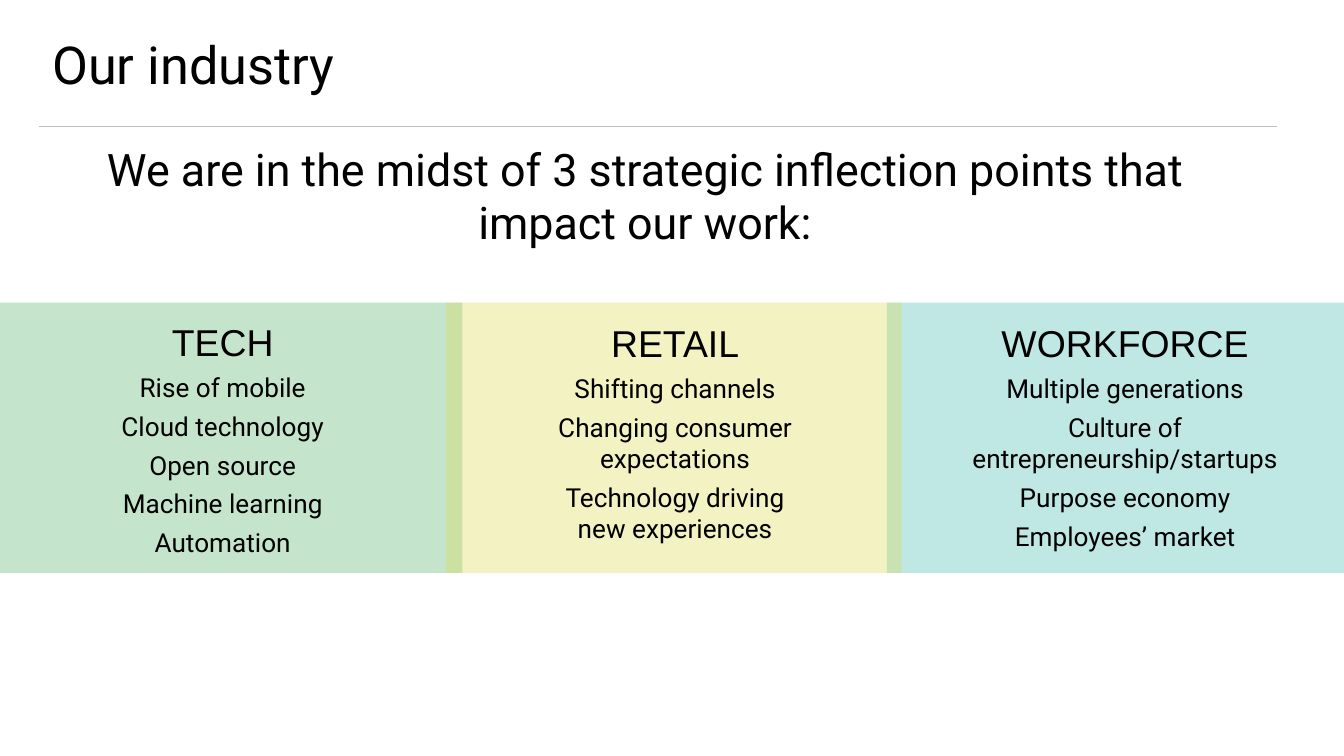
from pptx import Presentation
from pptx.dml.color import RGBColor
from pptx.enum.shapes import MSO_CONNECTOR as CONN, MSO_SHAPE as SHAPE
from pptx.enum.text import MSO_ANCHOR as ANCHOR, MSO_AUTO_SIZE as FIT, PP_ALIGN as ALIGN
from pptx.oxml.ns import qn
from pptx.util import Cm, Pt
from lxml.etree import SubElement

BAND_TOP, BAND_HEIGHT = 5.72, 5.11

COLUMNS = [
    ("50BDB6", (16.76, 8.64), (17.81, 5.84, 6.91, 4.67), "WORKFORCE",
     ["Multiple generations", "Culture of entrepreneurship/startups",
      "Purpose economy", "Employees’ market"]),
    ("5EB673", (0, 8.74), (1.02, 5.82, 6.38, 4.83), "TECH",
     ["Rise of mobile", "Cloud technology", "Open source",
      "Machine learning", "Automation"]),
    ("DBDB59", (8.43, 8.61), (9.93, 5.84, 5.66, 4.52), "RETAIL",
     ["Shifting channels", "Changing consumer expectations",
      "Technology driving new experiences"]),
]


def color(value):
    return RGBColor.from_string(value)


def style(p, size, font="Roboto", align=ALIGN.CENTER):
    p.alignment = align
    for r in p.runs:
        r.font.size = Pt(size)
        r.font.name = font
        r.font.color.rgb = color("000000")


def set_title(s, text):
    sp = s.shapes.title
    sp.left, sp.top, sp.width, sp.height = Cm(0.76), Cm(2.77), Cm(22.86), Cm(1.83)
    tf = sp.text_frame
    tf.text = text
    tf.word_wrap = True
    tf.auto_size = FIT.NONE
    tf.vertical_anchor = ANCHOR.MIDDLE
    style(tf.paragraphs[0], 24)


def add_text(s, box, lines):
    sp = s.shapes.add_textbox(*map(Cm, box))
    tf = sp.text_frame
    tf.word_wrap = True
    tf.text = "\n".join(lines)
    return tf


def add_panel(s, fill, left, width):
    sp = s.shapes.add_shape(SHAPE.RECTANGLE, Cm(left), Cm(BAND_TOP), Cm(width), Cm(BAND_HEIGHT))
    sp.shadow.inherit = False
    sp.fill.solid()
    sp.fill.fore_color.rgb = color(fill)
    sp.line.fill.background()
    rgb = sp.fill._xPr.find(qn("a:solidFill"))[0]
    SubElement(rgb, qn("a:alpha")).set("val", "36000")


def add_column(s, fill, span, box, heading, items):
    add_panel(s, fill, *span)
    tf = add_text(s, box, [heading, *items])
    tf.auto_size = FIT.SHAPE_TO_FIT_TEXT
    tf.margin_top = Cm(0.21)
    style(tf.paragraphs[0], 20, "Arial")
    for p in tf.paragraphs[1:]:
        p.space_before = Pt(4)
        style(p, 14)


def add_header(s, text):
    tf = add_text(s, (0.74, 0, 22.86, 2.39), [text])
    tf.vertical_anchor = ANCHOR.MIDDLE
    style(tf.paragraphs[0], 28, align=ALIGN.LEFT)


def add_rule(s):
    line = s.shapes.add_connector(CONN.STRAIGHT, Cm(0.74), Cm(2.39), Cm(24.13), Cm(2.39))
    line.line.color.rgb = color("BFBFBF")
    line.line.width = Pt(0.5)
    SubElement(line._element.spPr, qn("a:effectLst"))


def main():
    prs = Presentation()
    prs.slide_width, prs.slide_height = Cm(25.4), Cm(14.29)
    s = prs.slides.add_slide(prs.slide_layouts[5])
    set_title(s, "We are in the midst of 3 strategic inflection points that impact our work:")
    for column in COLUMNS:
        add_column(s, *column)
    add_header(s, "Our industry")
    add_rule(s)
    prs.save("out.pptx")


if __name__ == "__main__":
    main()
